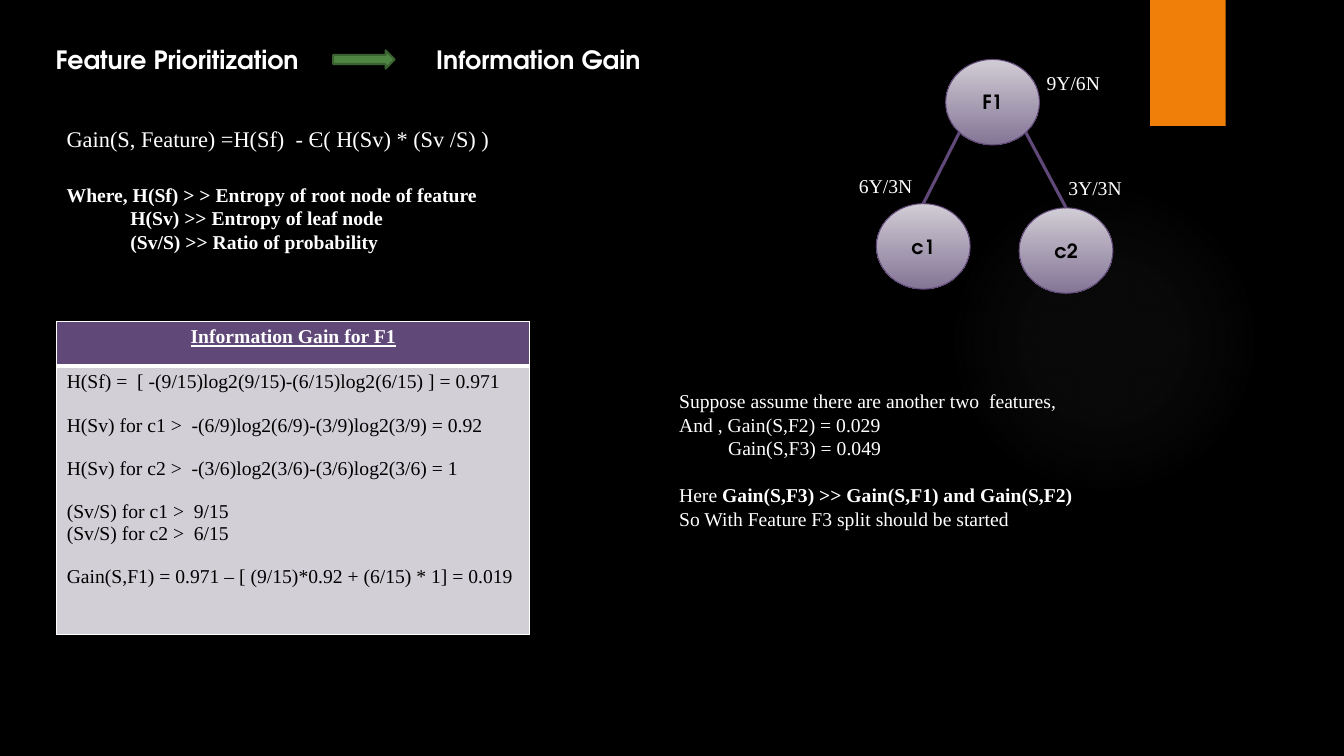
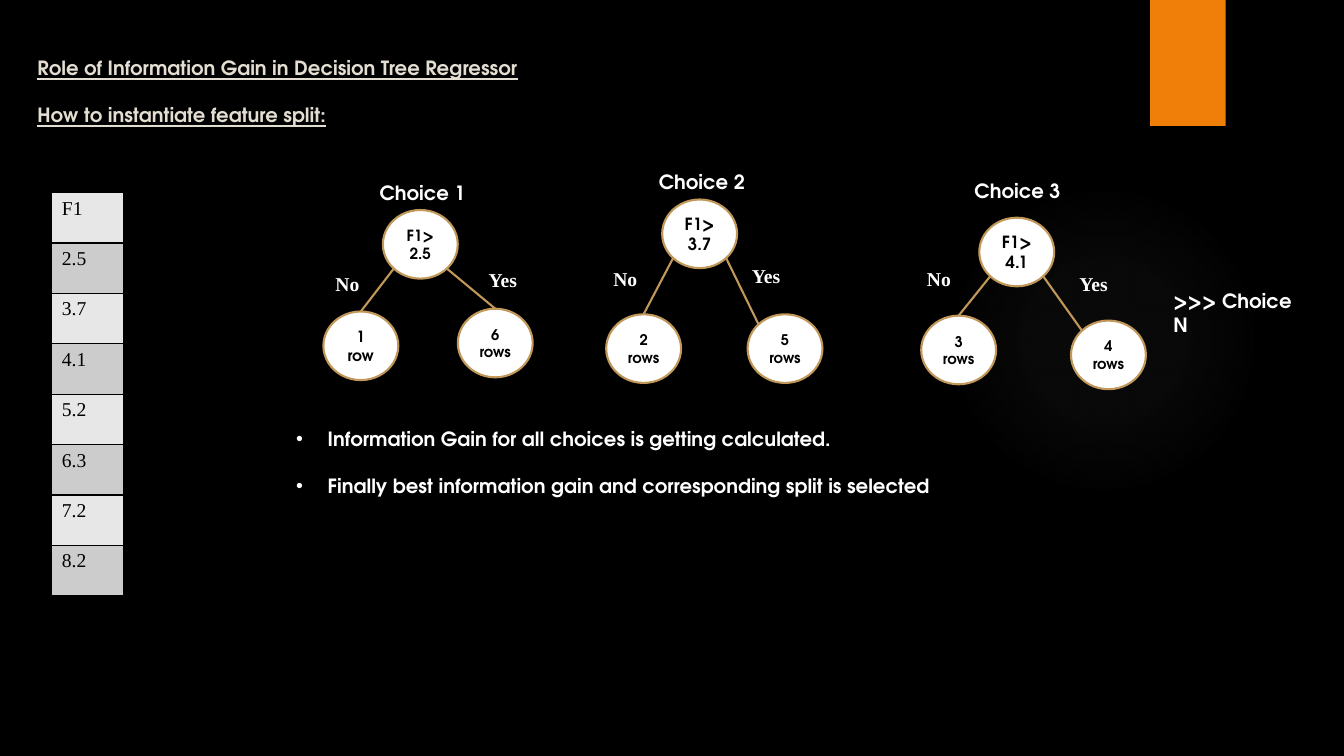
from dataclasses import dataclass
from math import cos, radians, sin

from lxml import etree
from pptx import Presentation
from pptx.dml.color import RGBColor
from pptx.enum import shapes as kinds, text as modes
from pptx.oxml import ns, parse_xml
from pptx.util import Pt

SANS, SERIF = "TeX Gyre Adventor", "Times New Roman"
BLACK, WHITE, CREAM = "000000", "FFFFFF", "E3DED1"
ORANGE, PURPLE, GOLD = "F07F09", "604878", "C19859"
CENTER = modes.PP_ALIGN.CENTER
SHAPE = kinds.MSO_SHAPE


@dataclass
class Line:
    """One paragraph of text."""
    text: str
    size: float = 14
    bold: bool = False
    underline: bool = False
    indent: float = 0
    gap: float = 0
    bullet: bool = False
    bold_tail: str = ""


@dataclass
class NodeStyle:
    """Look of the nodes and edges of a tree."""
    preset: int
    width: float
    height: float
    fills: tuple
    line: str
    line_width: float
    edge_width: float


@dataclass
class Node:
    """A node, placed relative to the root; edges end at the given angle."""
    text: str
    size: float
    left: float = 0
    top: float = 0
    angle: float = 270


PURPLE_NODES = NodeStyle(SHAPE.FLOWCHART_CONNECTOR, 67, 61, ("D1CDD5", "847596"), PURPLE, 0.75, 2.25)
WHITE_NODES = NodeStyle(SHAPE.OVAL, 53.5, 49, (WHITE,), GOLD, 1.5, 1.5)


def rgb(value):
    return RGBColor.from_string(value)


def points(*values):
    return [Pt(value) for value in values]


# Text

def write(frame, lines, color=WHITE, font=SANS, leading=None, align=None):
    """Fill a text frame; leading is the exact line height per point of size."""
    frame.text = "\n".join(line.text for line in lines)
    for paragraph, line in zip(frame.paragraphs, lines):
        if line.bold_tail:
            paragraph.add_run().text = line.bold_tail
        for index, run in enumerate(paragraph.runs):
            run.font.name = font
            run.font.size = Pt(line.size)
            run.font.bold = line.bold or index > 0
            run.font.underline = line.underline
            run.font.color.rgb = rgb(color)
        paragraph.alignment = align
        paragraph.space_before = Pt(line.gap)
        if leading:
            paragraph.line_spacing = Pt(round(line.size * leading, 1))
        properties = paragraph._p.get_or_add_pPr()
        if line.indent:
            properties.set("marL", str(Pt(line.indent)))
        if line.bullet:
            properties.set("indent", str(-Pt(line.indent)))
            etree.SubElement(properties, ns.qn("a:buFont"), typeface="Arial")
            etree.SubElement(properties, ns.qn("a:buChar"), char="•")


def add_text(slide, box, lines, font=SANS):
    frame = slide.shapes.add_textbox(*points(*box)).text_frame
    frame.word_wrap = True
    write(frame, lines, font=font, leading=1.2 if font == SERIF else None)


def set_title(slide, box, lines, color):
    title = slide.shapes.title
    title.left, title.top, title.width, title.height = points(*box)
    frame = title.text_frame
    frame.vertical_anchor = modes.MSO_ANCHOR.TOP
    frame.auto_size = modes.MSO_AUTO_SIZE.NONE
    write(frame, lines, color, align=modes.PP_ALIGN.LEFT)


# Shapes

def add_shape(slide, preset, box, fills, line=None, line_width=1):
    shape = slide.shapes.add_shape(preset, *points(*box))
    shape.shadow.inherit = False
    if len(fills) == 1:
        shape.fill.solid()
        shape.fill.fore_color.rgb = rgb(fills[0])
    else:
        shape.fill.gradient()
        shape.fill.gradient_angle = 270
        for stop, color in zip(shape.fill.gradient_stops, fills):
            stop.color.rgb = rgb(color)
    if line:
        shape.line.color.rgb = rgb(line)
        shape.line.width = Pt(line_width)
    else:
        shape.line.fill.background()
    return shape


def add_edge(slide, start, end, color, width):
    edge = slide.shapes.add_connector(kinds.MSO_CONNECTOR.STRAIGHT, *points(*start, *end))
    edge.line.color.rgb = rgb(color)
    edge.line.width = Pt(width)
    etree.SubElement(edge._element.spPr, ns.qn("a:effectLst"))


def add_tree(slide, left, top, style, root, leaves, labels):
    """Draw a root at (left, top) with two leaves; labels are (text, dx, dy, width, font, bold)."""
    def place(node):
        return left + node.left, top + node.top, style.width, style.height

    def rim(node, angle):
        x, y, width, height = place(node)
        return (x + width / 2 * (1 + cos(radians(angle))),
                y + height / 2 * (1 + sin(radians(angle))))

    for node in (root, *leaves):
        shape = add_shape(slide, style.preset, place(node), style.fills, style.line, style.line_width)
        frame = shape.text_frame
        frame.word_wrap = False
        frame.vertical_anchor = modes.MSO_ANCHOR.MIDDLE
        frame.margin_left = frame.margin_right = frame.margin_top = frame.margin_bottom = 0
        lines = [Line(text, node.size, bold=True) for text in node.text.split("\n")]
        write(frame, lines, BLACK, align=CENTER)
    for leaf, angle in zip(leaves, (135, 45)):
        add_edge(slide, rim(root, angle), rim(leaf, leaf.angle), style.line, style.edge_width)
    for text, dx, dy, width, font, bold in labels:
        add_text(slide, (left + dx, top + dy, width, 24), [Line(text, bold=bold)], font)


# Tables

def set_cell(cell, lines, fill, color, borders, leading, align=None):
    """borders maps a side (L, R, T, B) to (colour, width)."""
    properties = cell._tc.get_or_add_tcPr()
    for side, (line_color, width) in borders.items():
        line = etree.SubElement(properties, ns.qn(f"a:ln{side}"), w=str(Pt(width)))
        solid = etree.SubElement(line, ns.qn("a:solidFill"))
        etree.SubElement(solid, ns.qn("a:srgbClr"), val=line_color)
    cell.fill.solid()
    cell.fill.fore_color.rgb = rgb(fill)
    write(cell.text_frame, lines, color, SERIF, leading, align)


def add_column_table(slide, left, top, width, heights):
    table = slide.shapes.add_table(len(heights), 1, *points(left, top, width, sum(heights))).table
    table.first_row = table.horz_banding = False
    for row, height in zip(table.rows, heights):
        row.height = Pt(height)
    return table


# Shared look

def set_up_master(presentation, slide):
    """Black background, faint glow and orange band behind every slide."""
    master = presentation.slide_master
    master.background.fill.solid()
    master.background.fill.fore_color.rgb = rgb(BLACK)
    glow = add_shape(slide, SHAPE.OVAL, (677.5, 132, 222, 222), (BLACK,))
    stops = "".join(
        f'<a:gs pos="{place}000"><a:srgbClr val="848484"><a:alpha val="{alpha}000"/></a:srgbClr></a:gs>'
        for place, alpha in ((0, 7), (36, 6), (69, 0)))
    gradient = parse_xml(
        f'<a:gradFill {ns.nsdecls("a")}><a:gsLst>{stops}</a:gsLst><a:path path="circle">'
        '<a:fillToRect l="50000" t="50000" r="50000" b="50000"/></a:path></a:gradFill>')
    properties = glow._element.spPr
    properties.replace(properties.find(ns.qn("a:solidFill")), gradient)
    band = add_shape(slide, SHAPE.RECTANGLE, (821.5, 0, 54, 90), (ORANGE,))
    for position, shape in enumerate((glow, band), start=2):
        master.shapes.element.insert(position, shape._element)


# Slides

def build_gain_slide(slide):
    heading = dict(size=18, bold=True)
    set_title(slide, (32.5, 28, 200, 29), [Line("Feature Prioritization", **heading)], WHITE)
    add_shape(slide, SHAPE.RIGHT_ARROW, (238, 36, 44, 13), ("4E8542",), "3A6231", 1.5)
    add_text(slide, (304.5, 28, 180, 29), [Line("Information Gain", **heading)])

    # Formula
    add_text(slide, (40.5, 86, 455, 102), [
        Line("Gain(S, Feature) =H(Sf)  - Є( H(Sv) * (Sv /S) )", 16),
        Line("Where, H(Sf) > > Entropy of root node of feature", bold=True, gap=21.6),
        Line("H(Sv) >> Entropy of leaf node", bold=True, indent=45.5),
        Line("(Sv/S) >> Ratio of probability", bold=True, indent=45.5),
    ], SERIF)

    # Split of F1
    counts = (("9Y/6N", 65, 4.5), ("6Y/3N", -69, 78), ("3Y/3N", 80.5, 79.5))
    add_tree(slide, 675.5, 42.5, PURPLE_NODES, Node("F1", 14),
             (Node("c1", 14, -49.5, 103), Node("c2", 14, 52.5, 106)),
             [(*count, 56, SERIF, False) for count in counts])

    # Worked example
    table = add_column_table(slide, 40.5, 229.5, 338, (32, 192))
    frame = {side: (WHITE, 1) for side in "LRTB"}
    thick = (WHITE, 3)
    set_cell(table.cell(0, 0), [Line("Information Gain for F1", bold=True, underline=True)],
             PURPLE, WHITE, {**frame, "B": thick}, 1.107, CENTER)
    gap = 15.5
    set_cell(table.cell(1, 0), [
        Line("H(Sf) =  [ -(9/15)log2(9/15)-(6/15)log2(6/15) ] = 0.971"),
        Line("H(Sv) for c1 >  -(6/9)log2(6/9)-(3/9)log2(3/9) = 0.92", gap=gap),
        Line("H(Sv) for c2 >  -(3/6)log2(3/6)-(3/6)log2(3/6) = 1", gap=gap),
        Line("(Sv/S) for c1 >  9/15", gap=gap),
        Line("(Sv/S) for c2 >  6/15"),
        Line("Gain(S,F1) = 0.971 – [ (9/15)*0.92 + (6/15) * 1] = 0.019", gap=gap),
    ], "D2CFD6", BLACK, {**frame, "T": thick}, 1.107)

    # Conclusion
    add_text(slide, (478, 274.5, 320, 152), [
        Line("Suppose assume there are another two  features,"),
        Line("And , Gain(S,F2) = 0.029"),
        Line("Gain(S,F3) = 0.049", indent=35),
        Line("Here ", gap=16.8, bold_tail="Gain(S,F3) >> Gain(S,F1) and Gain(S,F2)"),
        Line("So With Feature F3 split should be started"),
    ], SERIF)


def build_split_slide(slide):
    set_title(slide, (19.5, 36, 500, 64), [
        Line("Role of Information Gain in Decision Tree Regressor", bold=True, underline=True),
        Line("How to instantiate feature split:", bold=True, underline=True, gap=16.8),
    ], CREAM)

    # Feature values
    values = ("F1", "2.5", "3.7", "4.1", "5.2", "6.3", "7.2", "8.2")
    table = add_column_table(slide, 37, 137.5, 51, [36] * len(values))
    for row, value in enumerate(values):
        set_cell(table.cell(row, 0), [Line(value)], ("E7E7E7", "CCCCCC")[row % 2], BLACK,
                 {side: (BLACK, 1) for side in "LRTB"}, 1.107)

    # Choices: root place, root, leaves, places of the heading, No and Yes
    choices = (
        (273.5, 150, Node("F1>\n2.5", 11),
         (Node("1\nrow", 11, -42.5, 72.5), Node("6\nrows", 10.5, 53.5, 70.5)),
         ((-9.5, -24.5), (-41, 41), (68.5, 37.5))),
        (473, 142.5, Node("F1>\n3.7", 12),
         (Node("2\nrows", 10.5, -40, 82), Node("5\nrows", 10.5, 61, 82, 225)),
         ((-9.5, -24.5), (-42, 44.5), (57, 42.5))),
        (699.5, 155.5, Node("F1>\n4.1", 12),
         (Node("3\nrows", 10.5, -41.5, 70), Node("4\nrows", 10.5, 65.5, 73.5, 225)),
         ((-10.5, -31.5), (-44.5, 31.5), (64.5, 35.5))),
    )
    for number, (left, top, root, leaves, places) in enumerate(choices, start=1):
        texts = ((f"Choice {number}", 85, SANS), ("No", 67, SERIF), ("Yes", 67, SERIF))
        labels = [(text, *place, width, font, True)
                  for (text, width, font), place in zip(texts, places)]
        add_tree(slide, left, top, WHITE_NODES, root, leaves, labels)
    add_text(slide, (831, 203, 109.5, 42), [Line(">>> Choice N", bold=True)])

    # Summary
    bullet = dict(bold=True, indent=22.5, bullet=True)
    add_text(slide, (204.5, 301.5, 561, 58), [
        Line("Information Gain for all choices is getting calculated.", **bullet),
        Line("Finally best information gain and corresponding split is selected", gap=16.8, **bullet),
    ])


def main():
    presentation = Presentation()
    presentation.slide_width, presentation.slide_height = points(960, 540)
    title_only = presentation.slide_layouts[5]
    slides = [presentation.slides.add_slide(title_only) for _ in range(2)]
    set_up_master(presentation, slides[0])
    build_gain_slide(slides[0])
    build_split_slide(slides[1])
    presentation.save("out.pptx")


if __name__ == "__main__":
    main()
